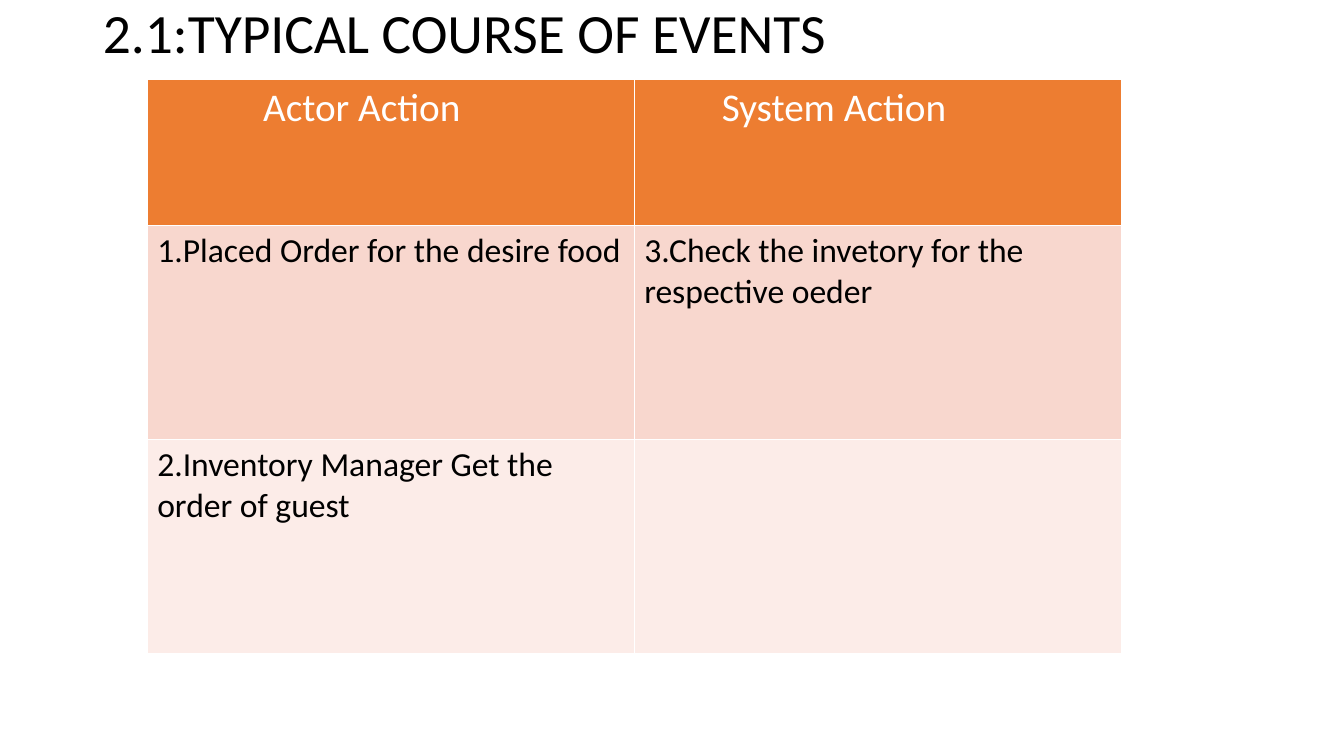
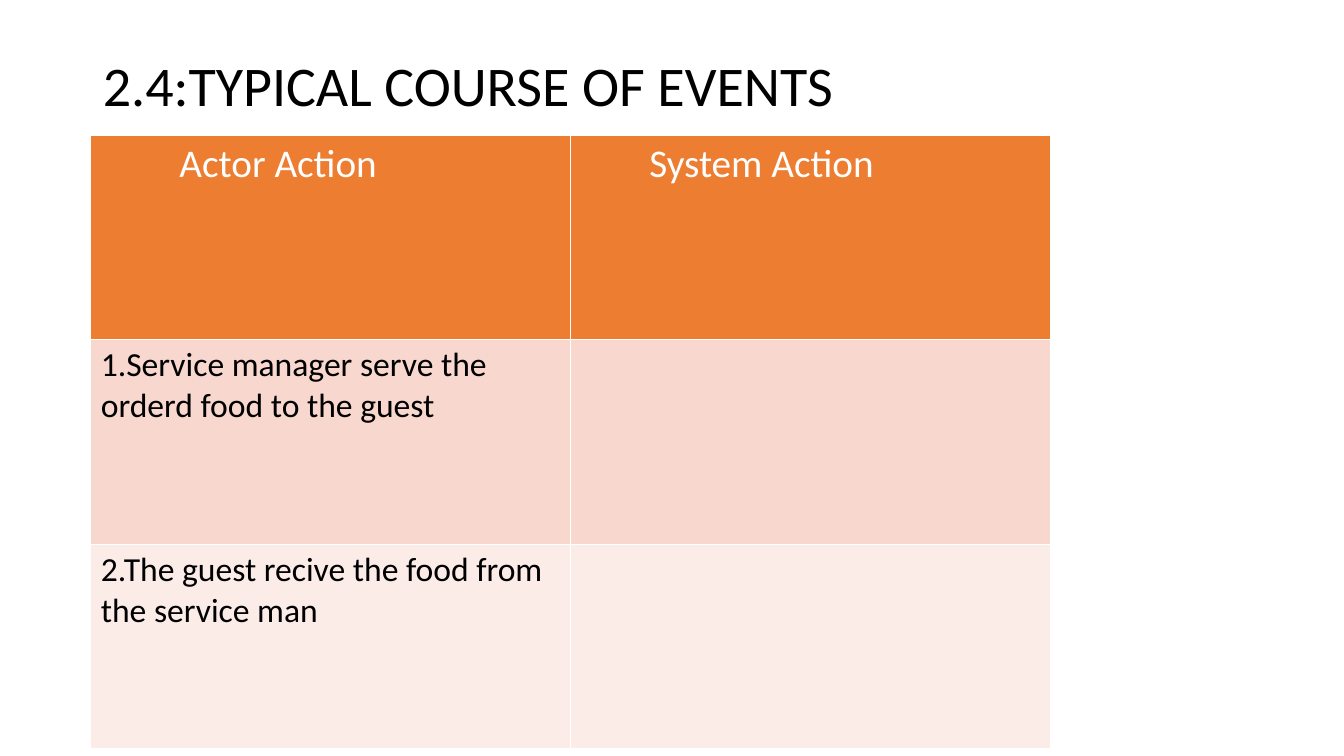
import pptx
import pptx.util
import pptx.dml.color
import pptx.enum.text
import pptx.oxml.ns
import lxml.etree

Inches = pptx.util.Inches
FONT = "Calibri"
WHITE, BLACK = "FFFFFF", "000000"
ROW_FILLS = ["ED7D31", "F8D7CE", "FCECE8"]
HEADINGS = ["Actor Action", "System Action"]

COURSES = [
    {
        "title": "2.1:TYPICAL COURSE OF EVENTS",
        "title_top": 0.01,
        "title_size": 39.6,
        "left": 1.46, "top": 0.79, "column": 4.83,
        "row_heights": [1.45, 2.12, 2.12],
        "heading_indents": [1.15, 0.87],
        "steps": [
            ["1.Placed Order for the desire food",
             "3.Check the invetory for the respective oeder"],
            ["2.Inventory Manager Get the order of guest", ""],
        ],
    },
    {
        "title": "2.4:TYPICAL COURSE OF EVENTS",
        "title_top": 0.54,
        "title_size": 40,
        "left": 0.9, "top": 1.34, "column": 4.76,
        "row_heights": [2.03] * 3,
        "heading_indents": [0.88, 0.78],
        "steps": [
            ["1.Service manager serve the orderd food to the guest", ""],
            ["2.The guest recive the food from the service man", ""],
        ],
    },
]


def colour(value):
    return pptx.dml.color.RGBColor.from_string(value)


def write(frame, text, size, color=BLACK, line_spacing=1.0):
    paragraph = frame.paragraphs[0]
    paragraph.text = text
    paragraph.alignment = pptx.enum.text.PP_ALIGN.LEFT
    paragraph.line_spacing = line_spacing
    paragraph.font.name = FONT
    paragraph.font.size = pptx.util.Pt(size)
    paragraph.font.bold = False
    paragraph.font.color.rgb = colour(color)


def add_borders(cell, color=WHITE, width=1):
    properties = cell._tc.get_or_add_tcPr()
    qn = pptx.oxml.ns.qn
    for position, side in enumerate(["a:lnL", "a:lnR", "a:lnT", "a:lnB"]):
        border = lxml.etree.Element(qn(side), w=str(pptx.util.Pt(width)))
        fill = lxml.etree.SubElement(border, qn("a:solidFill"))
        lxml.etree.SubElement(fill, qn("a:srgbClr"), val=color)
        properties.insert(position, border)


def add_title(slide, course):
    title = slide.shapes.title
    title.left, title.top = Inches(0.92), Inches(course["title_top"])
    title.width, title.height = Inches(11.5), Inches(0.68)
    title.text_frame.vertical_anchor = pptx.enum.text.MSO_ANCHOR.MIDDLE
    write(title.text_frame, course["title"], course["title_size"], line_spacing=0.9)


def add_events(slide, course):
    rows = [HEADINGS] + course["steps"]
    heights = course["row_heights"]
    events = slide.shapes.add_table(
        len(rows), len(HEADINGS), Inches(course["left"]), Inches(course["top"]),
        Inches(course["column"] * len(HEADINGS)), Inches(sum(heights))).table
    for column in events.columns:
        column.width = Inches(course["column"])
    for r, (texts, height, fill) in enumerate(zip(rows, heights, ROW_FILLS)):
        events.rows[r].height = Inches(height)
        for c, text in enumerate(texts):
            cell = events.cell(r, c)
            cell.fill.solid()
            cell.fill.fore_color.rgb = colour(fill)
            add_borders(cell)
            if r == 0:
                cell.margin_left = Inches(course["heading_indents"][c])
                write(cell.text_frame, text, 28, color=WHITE)
            elif text:
                write(cell.text_frame, text, 24)


def main():
    deck = pptx.Presentation()
    deck.slide_width, deck.slide_height = Inches(13.33), Inches(7.5)
    for course in COURSES:
        slide = deck.slides.add_slide(deck.slide_layouts[5])
        add_title(slide, course)
        add_events(slide, course)
    deck.save("out.pptx")


if __name__ == "__main__":
    main()
